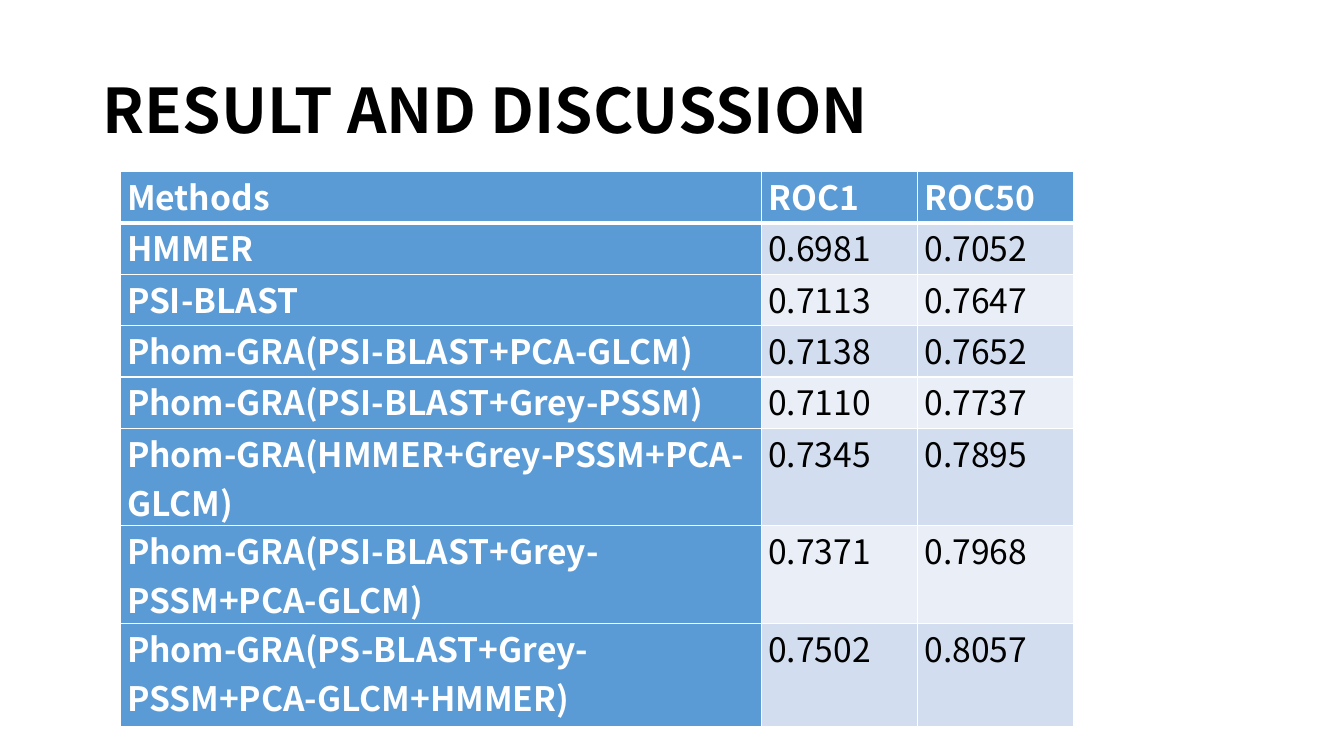
"""Build the results slide comparing ROC scores of homology detection methods."""
from dataclasses import dataclass

from lxml import etree
from pptx import Presentation
from pptx.dml.color import RGBColor
from pptx.enum import text
from pptx.oxml import ns
from pptx.util import Inches, Pt

TITLE = "RESULT AND DISCUSSION"
HEADINGS = ("Methods", "ROC1", "ROC50")
SCORES = [
    ("HMMER", "0.6981", "0.7052"),
    ("PSI-BLAST", "0.7113", "0.7647"),
    ("Phom-GRA(PSI-BLAST+PCA-GLCM)", "0.7138", "0.7652"),
    ("Phom-GRA(PSI-BLAST+Grey-PSSM)", "0.7110", "0.7737"),
    ("Phom-GRA(HMMER+Grey-PSSM+PCA-GLCM)", "0.7345", "0.7895"),
    ("Phom-GRA(PSI-BLAST+Grey-PSSM+PCA-GLCM)", "0.7371", "0.7968"),
    ("Phom-GRA(PS-BLAST+Grey-PSSM+PCA-GLCM+HMMER)", "0.7502", "0.8057"),
]
COLUMN_WIDTHS = (6.36, 1.55, 1.55)
ROW_HEIGHT = 0.51
LAST_ROW_HEIGHT = 1.02


@dataclass(frozen=True)
class Theme:
    font: str = "Noto Sans CJK SC"
    title_size: int = 44
    table_size: int = 24
    dark: str = "000000"
    light: str = "FFFFFF"
    accent: str = "5B9BD5"
    bands: tuple = ("EAEFF7", "D2DEEF")


THEME = Theme()


def add_run(paragraph, words, size, color, bold):
    run = paragraph.add_run()
    run.text = words
    run.font.name = THEME.font
    run.font.size = Pt(size)
    run.font.bold = bold
    run.font.color.rgb = RGBColor.from_string(color)


def add_borders(cell, bottom_width):
    properties = cell._tc.get_or_add_tcPr()
    for side, width in (("L", 1), ("R", 1), ("T", 1), ("B", bottom_width)):
        line = etree.SubElement(properties, ns.qn(f"a:ln{side}"), w=str(Pt(width)))
        fill = etree.SubElement(line, ns.qn("a:solidFill"))
        etree.SubElement(fill, ns.qn("a:srgbClr"), val=THEME.light)


def format_cell(cell, words, row, column):
    is_heading = row == 0 or column == 0
    cell.margin_left = cell.margin_right = Inches(0.07)
    cell.margin_top = cell.margin_bottom = 0
    add_borders(cell, 3 if row == 0 else 1)
    cell.fill.solid()
    color = THEME.accent if is_heading else THEME.bands[row % 2]
    cell.fill.fore_color.rgb = RGBColor.from_string(color)
    add_run(cell.text_frame.paragraphs[0], words, THEME.table_size,
            THEME.light if is_heading else THEME.dark, is_heading)


def add_title(slide):
    title = slide.shapes.title
    title.left, title.top = Inches(0.92), Inches(0.4)
    title.width, title.height = Inches(11.5), Inches(1.45)
    title.text_frame.vertical_anchor = text.MSO_ANCHOR.MIDDLE
    paragraph = title.text_frame.paragraphs[0]
    paragraph.alignment = text.PP_ALIGN.LEFT
    paragraph.line_spacing = 0.9
    add_run(paragraph, TITLE, THEME.title_size, THEME.dark, True)


def add_scores(slide):
    rows = [HEADINGS, *SCORES]
    heights = [ROW_HEIGHT] * len(SCORES) + [LAST_ROW_HEIGHT]
    table = slide.shapes.add_table(
        len(rows), len(HEADINGS), Inches(1.19), Inches(1.7),
        Inches(sum(COLUMN_WIDTHS)), Inches(sum(heights))).table
    for column, width in zip(table.columns, COLUMN_WIDTHS):
        column.width = Inches(width)
    for row, height in zip(table.rows, heights):
        row.height = Inches(height)
    for row, entries in enumerate(rows):
        for column, words in enumerate(entries):
            format_cell(table.cell(row, column), words, row, column)


def main():
    presentation = Presentation()
    presentation.slide_width = Inches(13.33)
    presentation.slide_height = Inches(7.5)
    slide = presentation.slides.add_slide(presentation.slide_layouts[5])
    add_title(slide)
    add_scores(slide)
    presentation.save("out.pptx")


if __name__ == "__main__":
    main()
